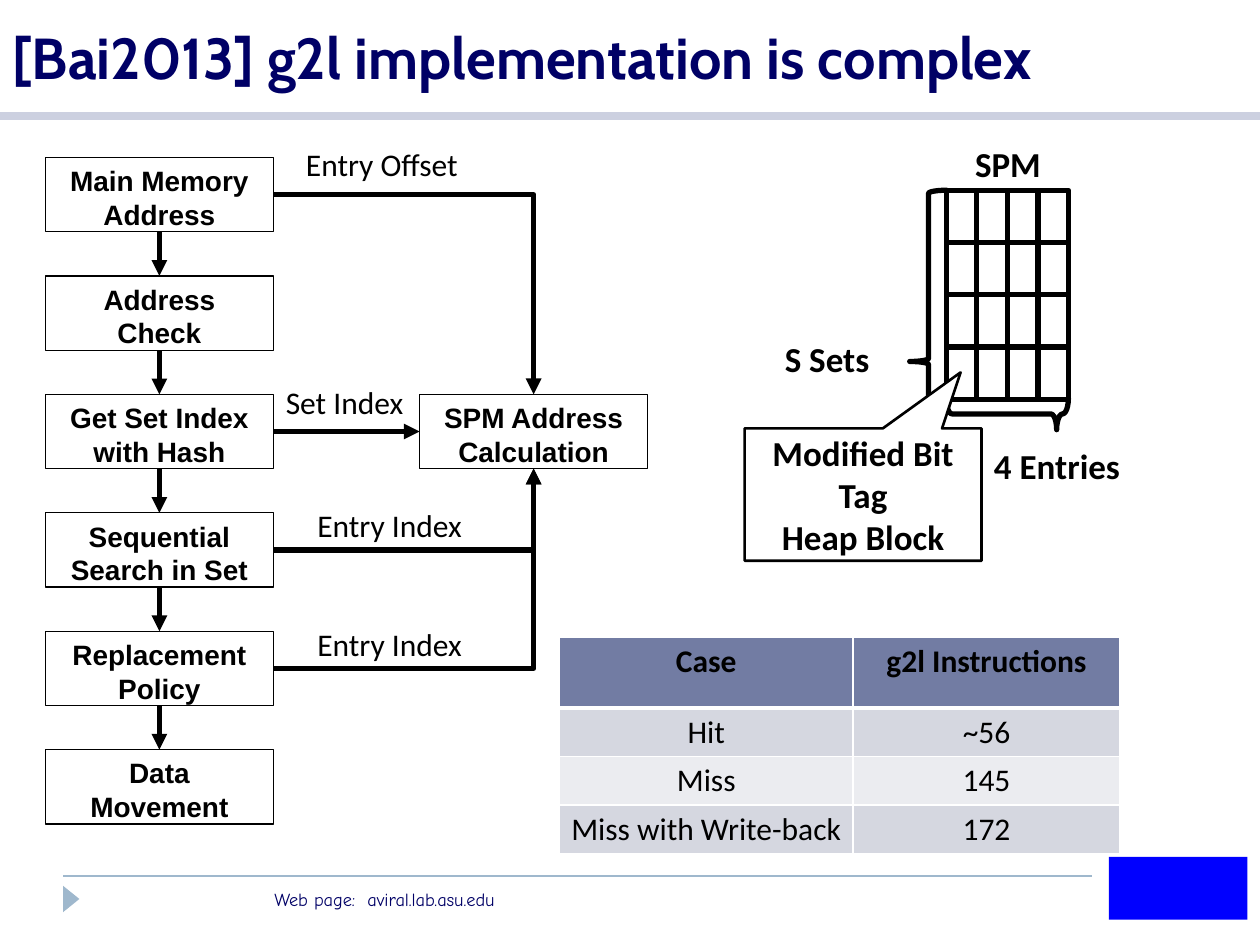
from lxml.etree import SubElement
from pptx import Presentation
from pptx.dml.color import RGBColor
from pptx.enum.shapes import MSO_CONNECTOR as LINK, MSO_SHAPE as SHAPE
from pptx.enum.text import MSO_ANCHOR as ANCHOR, MSO_AUTO_SIZE as FIT, PP_ALIGN as ALIGN
from pptx.oxml.ns import qn
from pptx.util import Inches, Pt

BLACK = RGBColor(0x00, 0x00, 0x00)
WHITE = RGBColor(0xFF, 0xFF, 0xFF)
NAVY = RGBColor(0x00, 0x00, 0x66)
BLUE = RGBColor(0x00, 0x00, 0xFF)
STEEL = RGBColor(0x9F, 0xB8, 0xCD)
LAVENDER = RGBColor(0xCC, 0xD0, 0xE0)
HEADER = RGBColor(0x72, 0x7C, 0xA3)
BANDS = [RGBColor(0xEB, 0xEC, 0xF0), RGBColor(0xD5, 0xD7, 0xE0)]

COLS, ROWS = 10, 7.5  # the slide is a grid of one-inch cells


def grid(*counts):
    """Turn counts of columns and rows into lengths."""
    return [Inches(n) for n in counts]


def write(tf, text, font="Calibri", size=20, bold=True, color=BLACK,
          align=ALIGN.CENTER, anchor=ANCHOR.TOP):
    """Fill a text frame, one paragraph a line."""
    tf.word_wrap = True
    tf.auto_size = FIT.NONE
    tf.vertical_anchor = anchor
    for i, line in enumerate(text.split("\n")):
        p = tf.paragraphs[0] if i == 0 else tf.add_paragraph()
        p.alignment = align
        r = p.add_run()
        r.text = line
        r.font.name, r.font.size, r.font.bold = font, Pt(size), bold
        r.font.color.rgb = color


prs = Presentation()
prs.slide_width, prs.slide_height = grid(COLS, ROWS)
s = prs.slides.add_slide(prs.slide_layouts[5])
shapes = s.shapes
links = []  # connector, colour, width, arrowhead

# Title
title = shapes.title
title.left, title.top, title.width, title.height = grid(0, 0, COLS, 0.9)
write(title.text_frame, "[Bai2013] g2l implementation is complex", font="Cabin",
      size=33, color=NAVY, align=ALIGN.LEFT, anchor=ANCHOR.MIDDLE)

# Title rule and footer
for x1, x2, y, color, width in [(0, COLS, 0.92, LAVENDER, 5), (0.5, 8.67, 6.95, STEEL, 1)]:
    rule = shapes.add_connector(LINK.STRAIGHT, *grid(x1, y, x2, y))
    links.append((rule, color, width, False))
for kind, box, color, turn in [
    (SHAPE.ISOSCELES_TRIANGLE, (0.46, 7.07, 0.21, 0.13), STEEL, 90),
    (SHAPE.RECTANGLE, (8.8, 6.8, 1.1, 0.5), BLUE, 0),
]:
    mark = shapes.add_shape(kind, *grid(*box))
    mark.rotation = turn
    mark.shadow.inherit = False
    mark.fill.solid()
    mark.fill.fore_color.rgb = color
    mark.line.fill.background()
footer = shapes.add_textbox(*grid(2.08, 7, 3.75, 0.28))
write(footer.text_frame, "Web page:  aviral.lab.asu.edu", font="Comic Neue",
      size=10.5, bold=False, color=NAVY, align=ALIGN.LEFT)

# Flow boxes: one column of steps, with the calculation beside the third
LEFT, TOP, PITCH, BOX_W, BOX_H = 0.36, 1.25, 0.94, 1.81, 0.59
steps = ["Main Memory Address", "Address Check", "Get Set Index with Hash",
         "Sequential\nSearch in Set", "Replacement Policy", "Data Movement"]
places = [(LEFT, row, text) for row, text in enumerate(steps)]
places.append((3.33, 2, "SPM Address\nCalculation"))
boxes = []
for x, row, text in places:
    box = shapes.add_shape(SHAPE.RECTANGLE, *grid(x, TOP + row * PITCH, BOX_W, BOX_H))
    box.shadow.inherit = False
    box.fill.solid()
    box.fill.fore_color.rgb = WHITE
    box.line.color.rgb = BLACK
    box.line.width = Pt(0.75)
    write(box.text_frame, text, font="Arial", size=16)
    boxes.append(box)
*chain, calculation = boxes

# Flow arrows: down the chain, then across to the calculation
joins = [(a, 2, b, 0, False) for a, b in zip(chain, chain[1:])]
joins += [(chain[0], 3, calculation, 0, True), (chain[2], 3, calculation, 1, False),
          (chain[3], 3, calculation, 2, True), (chain[4], 3, calculation, 2, True)]
for start, start_side, end, end_side, bent in joins:
    arrow = shapes.add_connector(LINK.ELBOW if bent else LINK.STRAIGHT, 0, 0, 0, 0)
    arrow.begin_connect(start, start_side)
    arrow.end_connect(end, end_side)
    if bent:
        arrow._element.spPr.find(qn("a:prstGeom")).set("prst", "bentConnector2")
    links.append((arrow, BLACK, 3, True))

# Memory grid of four sets by four entries
MEM_X, MEM_Y, MEM_W, MEM_H, PARTS = 7.51, 1.51, 0.97, 1.66, 4
outlines = [
    (SHAPE.RECTANGLE, (MEM_X, MEM_Y, MEM_W, MEM_H), 0, []),
    (SHAPE.LEFT_BRACE, (7.22, MEM_Y, 0.3, MEM_H), 0, [0.083, 0.819]),
    (SHAPE.LEFT_BRACE, (7.87, 2.8, 0.25, MEM_W), 270, [0.243, 0.904]),
]
for kind, box, turn, adjust in outlines:
    outline = shapes.add_shape(kind, *grid(*box))
    outline.rotation = turn
    outline.shadow.inherit = False
    outline.fill.background()
    outline.line.color.rgb = BLACK
    outline.line.width = Pt(3)
    for i, value in enumerate(adjust):
        outline.adjustments[i] = value
for i in range(1, PARTS):
    x, y = MEM_X + i * MEM_W / PARTS, MEM_Y + i * MEM_H / PARTS
    for ends in [(x, MEM_Y, x, MEM_Y + MEM_H), (MEM_X, y, MEM_X + MEM_W, y)]:
        divider = shapes.add_connector(LINK.STRAIGHT, *grid(*ends))
        links.append((divider, BLACK, 3, False))

# Callout on one entry
callout = shapes.add_shape(SHAPE.RECTANGULAR_CALLOUT, *grid(5.91, 3.4, 1.88, 1.05))
callout.adjustments[0], callout.adjustments[1] = 0.412, -0.924
callout.shadow.inherit = False
callout.fill.solid()
callout.fill.fore_color.rgb = WHITE
callout.line.color.rgb = BLACK
callout.line.width = Pt(1.5)
write(callout.text_frame, "Modified Bit\nTag\nHeap Block", anchor=ANCHOR.MIDDLE)

# Labels
plain = dict(size=18, bold=False, align=ALIGN.LEFT)
labels = [
    ((2.33, 1.1, 1.49, 0.4), "Entry Offset", plain),
    ((2.17, 2.99, 1.16, 0.4), "Set Index", plain),
    ((2.42, 3.97, 1.48, 0.4), "Entry Index", plain),
    ((2.42, 4.91, 1.48, 0.4), "Entry Index", plain),
    ((6.13, 2.63, 1.02, 0.44), "S Sets", dict(align=ALIGN.LEFT)),
    ((7.71, 3.48, 1.36, 0.44), "4 Entries", {}),
    ((7.55, 1.08, 0.9, 0.44), "SPM", {}),
]
for box, text, style in labels:
    write(shapes.add_textbox(*grid(*box)).text_frame, text, **style)

# Line formats
for link, color, width, arrowhead in links:
    link.line.color.rgb = color
    link.line.width = Pt(width)
    if arrowhead:
        SubElement(link.line._get_or_add_ln(), qn("a:tailEnd"), type="triangle")
    SubElement(link._element.spPr, qn("a:effectLst"))

# Instruction table
data = [("Case", "g2l Instructions"), ("Hit", "~56"), ("Miss", "145"),
        ("Miss with Write-back", "172")]
table = shapes.add_table(len(data), 2, *grid(4.44, 5.06, 4.45, 1.68)).table
for column, width in zip(table.columns, grid(2.33, 2.12)):
    column.width = width
for i, values in enumerate(data):
    table.rows[i].height = Inches(0.37 if i else 0.56)
    for j, value in enumerate(values):
        cell = table.cell(i, j)
        cell.margin_left, cell.margin_right = grid(0.08, 0.08)
        cell.margin_top, cell.margin_bottom = grid(0.04, 0.04)
        write(cell.text_frame, value, size=18, bold=i == 0)
        tc_pr = cell._tc.get_or_add_tcPr()
        for side in ("L", "R", "T", "B"):
            thick = (i, side) in [(0, "B"), (1, "T")]
            ln = SubElement(tc_pr, qn("a:ln" + side), w=str(Pt(3 if thick else 1)))
            SubElement(SubElement(ln, qn("a:solidFill")), qn("a:srgbClr"), val=str(WHITE))
        cell.fill.solid()
        cell.fill.fore_color.rgb = BANDS[i % 2] if i else HEADER

prs.save("out.pptx")
